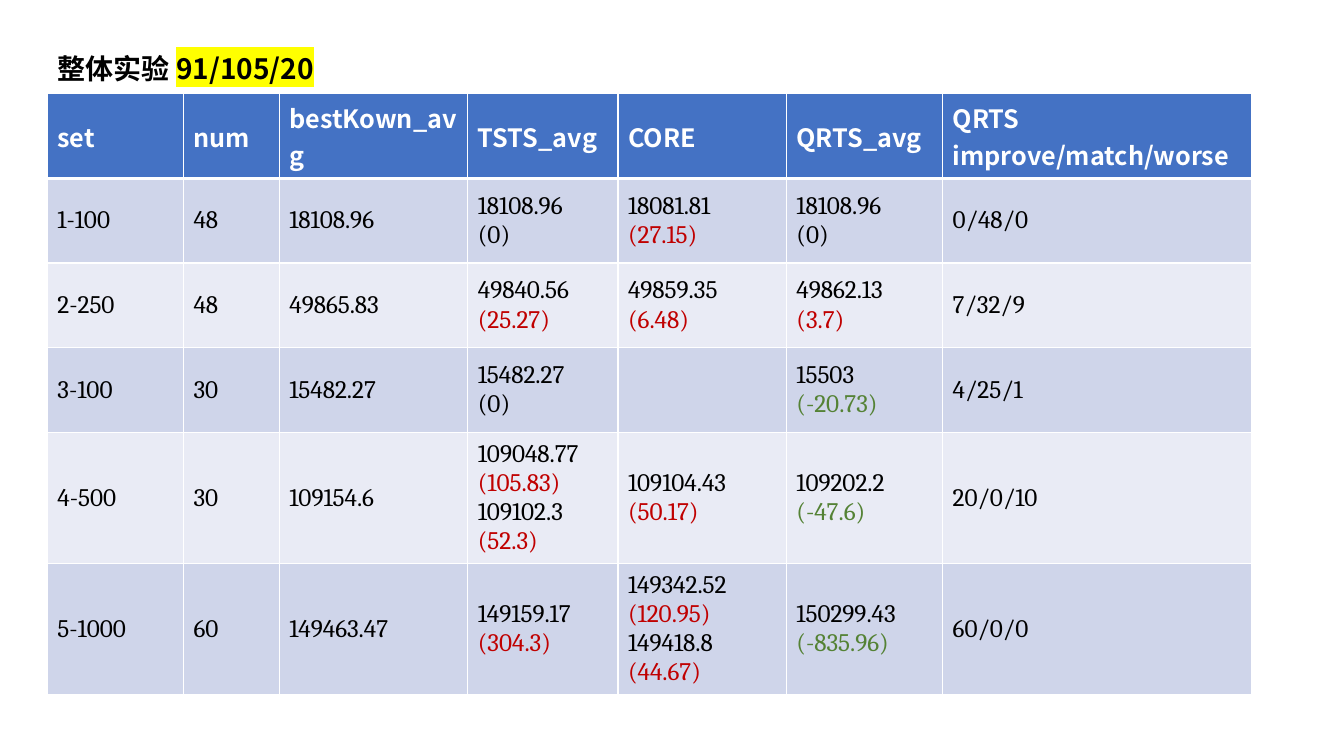
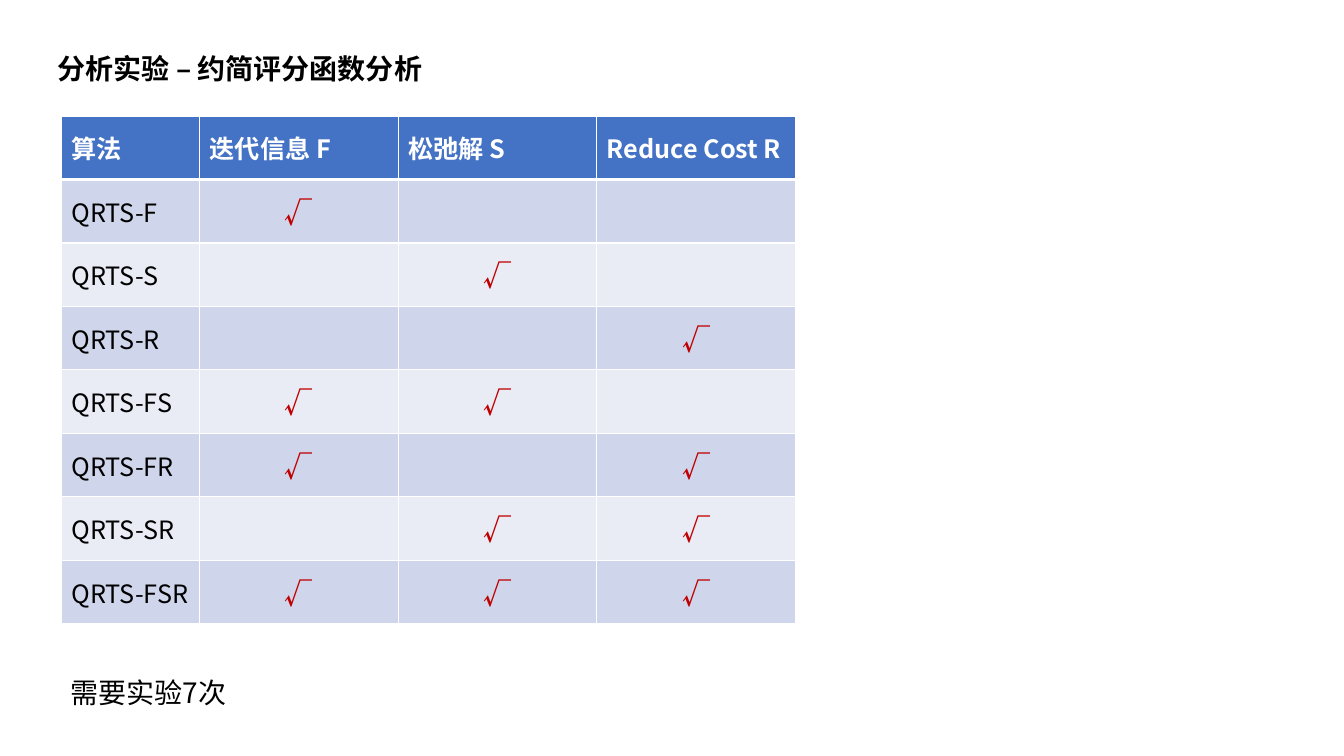
import pptx
import pptx.dml.color
import pptx.enum.text
import pptx.oxml
import pptx.oxml.ns
import pptx.util
from pptx.util import Inches

SANS, SERIF = "Noto Sans CJK SC", "Cambria"
BLACK, WHITE, RED, GREEN = "000000", "FFFFFF", "C00000", "548235"
HEADER_FILL, BAND_FILLS = "4472C4", ("CFD5EA", "E9EBF5")
HIGHLIGHT = "FFFF00"
LEFT = pptx.enum.text.PP_ALIGN.LEFT
CENTER = pptx.enum.text.PP_ALIGN.CENTER
TOP = pptx.enum.text.MSO_ANCHOR.TOP
MIDDLE = pptx.enum.text.MSO_ANCHOR.MIDDLE
NAMESPACE = pptx.oxml.ns.nsdecls("a")
CHECK = "√"

TITLE = {"size": 20, "bold": True}
NOTE = {"size": 20}
HEADER = {"bold": True, "color": WHITE}
MARK = {"size": 20, "bold": True, "color": RED}

RESULT_HEADER = ["set", "num", "bestKown_avg", "TSTS_avg", "CORE", "QRTS_avg",
                 "QRTS\nimprove/match/worse"]
RESULTS = [
    ["1-100", "48", "18108.96", "18108.96\n(0)", "18081.81\n(27.15)",
     "18108.96\n(0)", "0/48/0"],
    ["2-250", "48", "49865.83", "49840.56\n(25.27)", "49859.35\n(6.48)",
     "49862.13\n(3.7)", "7/32/9"],
    ["3-100", "30", "15482.27", "15482.27\n(0)", "",
     "15503\n(-20.73)", "4/25/1"],
    ["4-500", "30", "109154.6", "109048.77\n(105.83)\n109102.3\n(52.3)",
     "109104.43\n(50.17)", "109202.2\n(-47.6)", "20/0/10"],
    ["5-1000", "60", "149463.47", "149159.17\n(304.3)",
     "149342.52\n(120.95)\n149418.8\n(44.67)", "150299.43\n(-835.96)", "60/0/0"],
]
SCORE_HEADER = ["算法", "迭代信息 F", "松弛解 S", "Reduce Cost R"]
SCORE_SETS = ["F", "S", "R", "FS", "FR", "SR", "FSR"]


def rgb(value):
    return pptx.dml.color.RGBColor.from_string(value)


def add_span(para, text, size=18, bold=False, color=BLACK, font=SANS, highlight=None):
    span = para.add_run()
    span.text = text
    formats = {"size": pptx.util.Pt(size), "bold": bold, "name": font}
    for name, value in formats.items():
        setattr(span.font, name, value)
    span.font.color.rgb = rgb(color)
    latin = span.font._element.find(pptx.oxml.ns.qn("a:latin"))
    latin.addnext(pptx.oxml.parse_xml(f'<a:ea {NAMESPACE} typeface="{font}"/>'))
    if highlight:
        latin.addprevious(pptx.oxml.parse_xml(
            f'<a:highlight {NAMESPACE}><a:srgbClr val="{highlight}"/></a:highlight>'))


def write_line(box, place, spans):
    """Place a box and write one left-aligned line of (text, format) spans."""
    for name, value in zip(("left", "top", "width", "height"), place):
        setattr(box, name, Inches(value))
    frame = box.text_frame
    settings = {"word_wrap": True, "vertical_anchor": TOP,
                "auto_size": pptx.enum.text.MSO_AUTO_SIZE.NONE}
    for name, value in settings.items():
        setattr(frame, name, value)
    para = frame.paragraphs[0]
    para.alignment = LEFT
    para.line_spacing = 1.5
    for text, style in spans:
        add_span(para, text, **style)


def add_titled_slide(deck, spans):
    page = deck.slides.add_slide(deck.slide_layouts.get_by_name("Title Only"))
    write_line(page.shapes.title, (0.47, 0.29, 5.33, 0.56), spans)
    return page


def add_border(cell, side, points):
    cell._tc.get_or_add_tcPr().append(pptx.oxml.parse_xml(
        f'<a:ln{side} {NAMESPACE} w="{pptx.util.Pt(points)}"><a:solidFill>'
        f'<a:srgbClr val="{WHITE}"/></a:solidFill></a:ln{side}>'))


def fill_cell(cell, text, row, style_of):
    for side in "LRTB":
        under_header = (row, side) in ((0, "B"), (1, "T"))
        add_border(cell, side, 3 if under_header else 1)
    cell.fill.solid()
    cell.fill.fore_color.rgb = rgb(BAND_FILLS[(row - 1) % 2] if row else HEADER_FILL)
    cell.vertical_anchor = MIDDLE
    if not text:
        return
    for index, line in enumerate(text.split("\n")):
        frame = cell.text_frame
        para = frame.add_paragraph() if index else frame.paragraphs[0]
        para.alignment = CENTER if line == CHECK else LEFT
        add_span(para, line, **(style_of(line) if row else HEADER))


def add_grid(page, left, top, widths, heights, rows, style_of):
    """Add a banded table; style_of gives the format of a body line."""
    table = page.shapes.add_table(
        len(rows), len(widths), Inches(left), Inches(top),
        Inches(sum(widths)), Inches(sum(heights))).table
    for column, width in zip(table.columns, widths):
        column.width = Inches(width)
    for row, (height, texts) in enumerate(zip(heights, rows)):
        table.rows[row].height = Inches(height)
        for column, text in enumerate(texts):
            fill_cell(table.cell(row, column), text, row, style_of)


def result_style(line):
    """Colour a bracketed gap by its sign: red is worse, green is better."""
    gap = float(line.strip("()")) if line.startswith("(") else 0
    color = RED if gap > 0 else GREEN if gap < 0 else BLACK
    return {"font": SERIF, "color": color}


def score_style(line):
    return MARK if line == CHECK else {}


def add_results_slide(deck):
    page = add_titled_slide(deck, [
        ("整体实验 ", TITLE), ("91/105/20", {**TITLE, "highlight": HIGHLIGHT})])
    add_grid(page, 0.47, 0.93, [1.35, 0.95, 1.87, 1.49, 1.67, 1.55, 3.06],
             [0.84] * 4 + [1.3] * 2, [RESULT_HEADER] + RESULTS, result_style)


def add_scores_slide(deck):
    page = add_titled_slide(deck, [("分析实验 – 约简评分函数分析", TITLE)])
    rows = [[f"QRTS-{letters}"] + [CHECK if score in letters else "" for score in "FSR"]
            for letters in SCORE_SETS]
    add_grid(page, 0.61, 1.15, [1.37] + [1.97] * 3, [0.63] * 8,
             [SCORE_HEADER] + rows, score_style)
    note = page.shapes.add_textbox(0, 0, 0, 0)
    write_line(note, (0.6, 6.49, 10.4, 0.55), [("需要实验7次", NOTE)])


def main():
    deck = pptx.Presentation()
    deck.slide_width, deck.slide_height = Inches(13.33), Inches(7.5)
    add_results_slide(deck)
    add_scores_slide(deck)
    deck.save("out.pptx")


if __name__ == "__main__":
    main()
